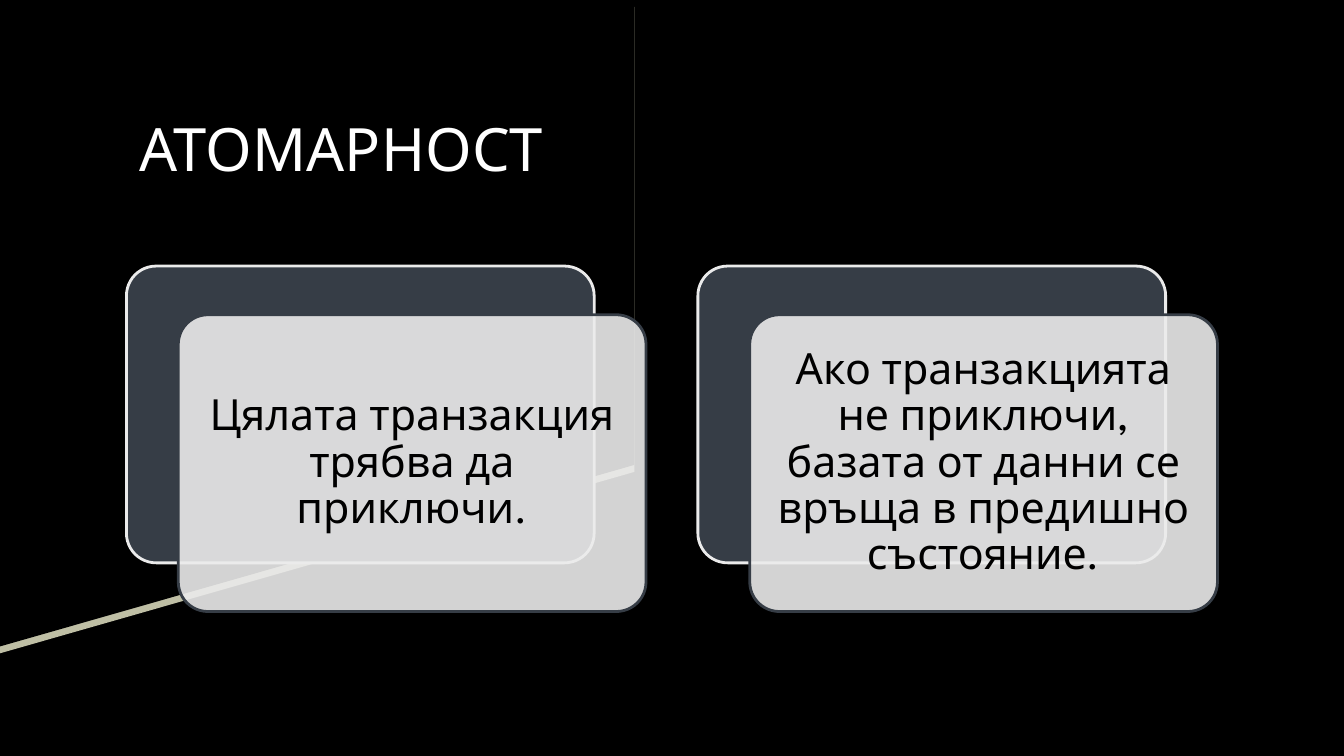
from lxml import etree
from pptx import Presentation, util as u
from pptx.dml.color import RGBColor
from pptx.enum import shapes, text
from pptx.oxml.ns import qn

Cm = u.Cm


def paint(shape, fill, line=None, opacity=None):
    shape.shadow.inherit = False
    shape.fill.solid()
    shape.fill.fore_color.rgb = RGBColor.from_string(fill)
    if opacity:
        colour = shape.fill._xPr.find(qn("a:solidFill"))[0]
        etree.SubElement(colour, qn("a:alpha"), val=str(opacity * 1000))
    if line:
        shape.line.color.rgb = RGBColor.from_string(line)
        shape.line.width = u.Pt(1.5)
    else:
        shape.line.fill.background()


def write(shape, words, size, colour, align, margin, spacing=1.0):
    frame = shape.text_frame
    frame.word_wrap = True
    frame.vertical_anchor = text.MSO_ANCHOR.MIDDLE
    frame.margin_left = frame.margin_right = Cm(margin)
    frame.margin_top = frame.margin_bottom = Cm(margin)
    paragraph = frame.paragraphs[0]
    paragraph.alignment = align
    paragraph.line_spacing = spacing
    run = paragraph.add_run()
    run.text = words
    run.font.name = "League Spartan"
    run.font.size = u.Pt(size)
    run.font.color.rgb = RGBColor.from_string(colour)


deck = Presentation()
deck.slide_width, deck.slide_height = Cm(25.4), Cm(14.29)
slide = deck.slides.add_slide(deck.slide_layouts[6])
slide.background.fill.solid()
slide.background.fill.fore_color.rgb = RGBColor.from_string("000000")

for top, colour in [(0.13, "BFBFA5"), (0, "000000")]:
    outline = slide.shapes.build_freeform(Cm(0), Cm(top))
    corners = [(11.99, top), (11.99, top + 8.79), (0, top + 12.22)]
    outline.add_line_segments([(Cm(x), Cm(y)) for x, y in corners])
    paint(outline.convert_to_shape(), colour)

title = slide.shapes.add_textbox(Cm(2.39), Cm(1.27), Cm(20.62), Cm(3.05))
write(title, "АТОМАРНОСТ", 32, "FFFFFF", text.PP_ALIGN.LEFT, 0.25)

rules = [
    "Цялата транзакция трябва да приключи.",
    "Ако транзакцията не приключи, базата от данни се връща в предишно състояние.",
]
for index, rule in enumerate(rules):
    left, top = 2.39 + index * 10.8, 5.03
    cards = []
    for dx, dy, fill, line, opacity in [
        (0, 0, "363D46", "EBEBEB", None),
        (0.98, 0.92, "EBEBEB", "363D46", 90),
    ]:
        card = slide.shapes.add_shape(
            shapes.MSO_SHAPE.ROUNDED_RECTANGLE,
            Cm(left + dx), Cm(top + dy), Cm(8.84), Cm(5.61))
        card.adjustments[0] = 0.1
        paint(card, fill, line, opacity)
        cards.append(card)
    write(cards[-1], rule, 23, "000000", text.PP_ALIGN.CENTER, 0.26, 0.9)

deck.save("out.pptx")
